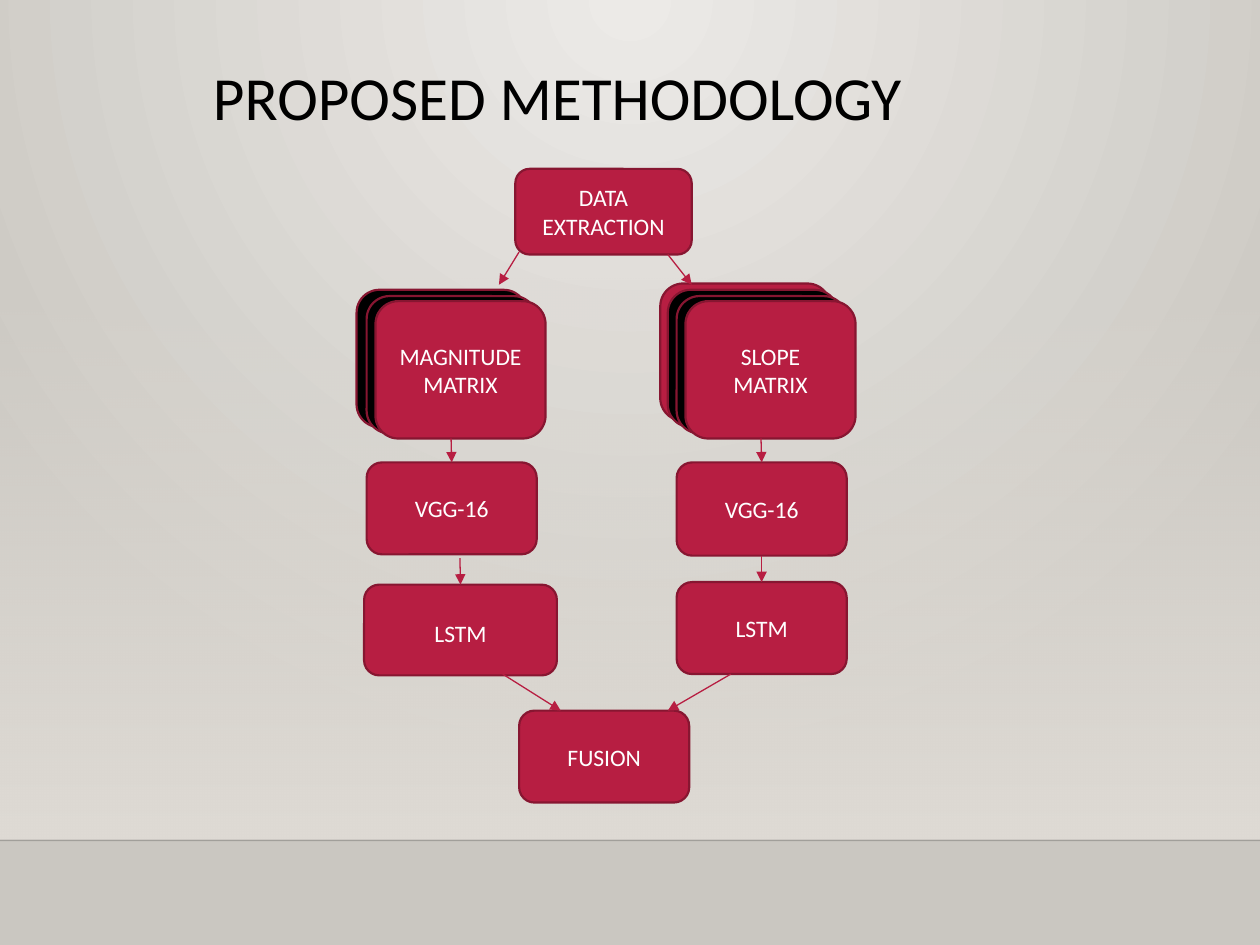
"""Build the proposed methodology flow chart slide."""
from pptx import Presentation
from pptx.dml.color import RGBColor
from pptx.enum.shapes import MSO_CONNECTOR, MSO_SHAPE
from pptx.enum.text import MSO_ANCHOR, PP_ALIGN
from pptx.oxml import parse_xml
from pptx.oxml.ns import nsdecls, qn
from pptx.util import Inches, Pt

RED = RGBColor(0xB7, 0x1E, 0x42)
DARK_RED = RGBColor(0x87, 0x16, 0x31)
BLACK = RGBColor(0, 0, 0)
WHITE = RGBColor(0xFF, 0xFF, 0xFF)
FONT = "Calibri"

WALL_STOPS = [(0, "ECEAE7", 100), (100, "CAC7C1", 100)]
WALL_PATH = '<a:path path="circle"><a:fillToRect l="43000" t="0" r="43000" b="100000"/></a:path>'
GLOW_STOPS = [(0, "DFDBD5", 0), (100, "DFDBD5", 100)]
GLOW_PATH = '<a:lin ang="5400000" scaled="0"/>'

BOXES = {
    "data": ("DATA\nEXTRACTION", 4.09, 1.34, 1.4, 0.68),
    "vgg_left": ("VGG-16", 2.91, 3.67, 1.35, 0.73),
    "vgg_right": ("VGG-16", 5.37, 3.67, 1.35, 0.74),
    "lstm_left": ("LSTM", 2.89, 4.64, 1.53, 0.72),
    "lstm_right": ("LSTM", 5.37, 4.62, 1.35, 0.73),
    "fusion": ("FUSION", 4.12, 5.64, 1.35, 0.73),
}
CARD_W, CARD_H = 1.35, 1.09
STACKS = [
    ("SLOPE\vMATRIX", [(5.24, 2.25, RED), (5.3, 2.3, BLACK), (5.37, 2.35, BLACK), (5.44, 2.39, RED)]),
    ("MAGNITUDE\vMATRIX", [(2.83, 2.3, BLACK), (2.91, 2.35, BLACK), (2.98, 2.39, RED)]),
]
ARROWS = [
    ((5.3, 2.02), (5.49, 2.26), None, None),
    ((4.12, 2), (3.96, 2.26), None, None),
    ((5.8, 5.35), (5.3, 5.64), None, None),
    ((3.99, 5.35), (4.45, 5.64), None, None),
    ((6.04, 3.48), (6.04, 3.67), None, "vgg_right"),
    ((3.58, 3.48), (3.58, 3.67), None, "vgg_left"),
    ((6.04, 4.41), (6.04, 4.62), "vgg_right", "lstm_right"),
    ((3.65, 4.43), (3.65, 4.64), None, "lstm_left"),
]


def set_gradient(fill, owner, stops, path):
    fill.gradient()
    old = owner.xpath(".//a:gradFill")[0]
    items = "".join(
        f'<a:gs pos="{pos * 1000}"><a:srgbClr val="{color}"><a:alpha val="{alpha * 1000}"/></a:srgbClr></a:gs>'
        for pos, color, alpha in stops)
    new = parse_xml(f'<a:gradFill {nsdecls("a")} rotWithShape="1"><a:gsLst>{items}</a:gsLst>{path}</a:gradFill>')
    old.getparent().replace(old, new)


def add_box(s, text, x, y, w, h, color=RED):
    sp = s.shapes.add_shape(MSO_SHAPE.ROUNDED_RECTANGLE, Inches(x), Inches(y), Inches(w), Inches(h))
    sp.shadow.inherit = False
    sp.fill.solid()
    sp.fill.fore_color.rgb = color
    sp.line.color.rgb = DARK_RED
    sp.line.width = Pt(1.25)
    tf = sp.text_frame
    tf.margin_left = tf.margin_right = Inches(0.07)
    tf.margin_top = tf.margin_bottom = Inches(0.04)
    tf.vertical_anchor = MSO_ANCHOR.MIDDLE
    if text:
        tf.text = text
        for p in tf.paragraphs:
            p.alignment = PP_ALIGN.CENTER
            set_font(p, 13.5, WHITE)
    return sp


def set_font(p, size, color):
    p.font.name = FONT
    p.font.size = Pt(size)
    p.font.color.rgb = color


def add_line(s, start, end, color, width):
    ends = [Inches(v) for v in (*start, *end)]
    line = s.shapes.add_connector(MSO_CONNECTOR.STRAIGHT, *ends)
    line.line.color.rgb = color
    line.line.width = Pt(width)
    line.element.spPr.append(parse_xml(f'<a:effectLst {nsdecls("a")}/>'))
    return line


def add_backdrop(s):
    fill = s.background.fill
    set_gradient(fill, s.element, WALL_STOPS, WALL_PATH)
    glow = s.shapes.add_shape(MSO_SHAPE.RECTANGLE, 0, Inches(2.2), Inches(10), Inches(4.46))
    glow.shadow.inherit = False
    glow.line.fill.background()
    set_gradient(glow.fill, glow.element, GLOW_STOPS, GLOW_PATH)
    edge = add_line(s, (0, 6.67), (10, 6.67), BLACK, 1)
    color = edge.element.xpath(".//a:ln//a:srgbClr")[0]
    color.append(parse_xml(f'<a:alpha {nsdecls("a")} val="20000"/>'))


def add_title(s):
    title = s.shapes.title
    title.left, title.top, title.width, title.height = (Inches(v) for v in (1.59, 0.49, 8.92, 1.22))
    tf = title.text_frame
    tf.text = "PROPOSED METHODOLOGY"
    tf.vertical_anchor = MSO_ANCHOR.TOP
    p = tf.paragraphs[0]
    p.alignment = PP_ALIGN.LEFT
    p.line_spacing = 0.9
    set_font(p, 35, BLACK)


def main():
    prs = Presentation()
    prs.slide_width, prs.slide_height = Inches(10), Inches(7.5)
    s = prs.slides.add_slide(prs.slide_layouts[5])
    add_backdrop(s)
    add_title(s)

    boxes = {name: add_box(s, *box) for name, box in BOXES.items()}
    boxes["lstm_left"].text_frame.paragraphs[0].line_spacing = 1.2
    for label, cards in STACKS:
        for i, (x, y, color) in enumerate(cards, 1):
            add_box(s, label if i == len(cards) else "", x, y, CARD_W, CARD_H, color)

    for start, end, source, target in ARROWS:
        arrow = add_line(s, start, end, RED, 0.75)
        if source:
            arrow.begin_connect(boxes[source], 2)
        if target:
            arrow.end_connect(boxes[target], 0)
        ln = arrow.element.spPr.find(qn("a:ln"))
        ln.append(parse_xml(f'<a:tailEnd {nsdecls("a")} type="triangle"/>'))

    prs.save("out.pptx")


if __name__ == "__main__":
    main()
